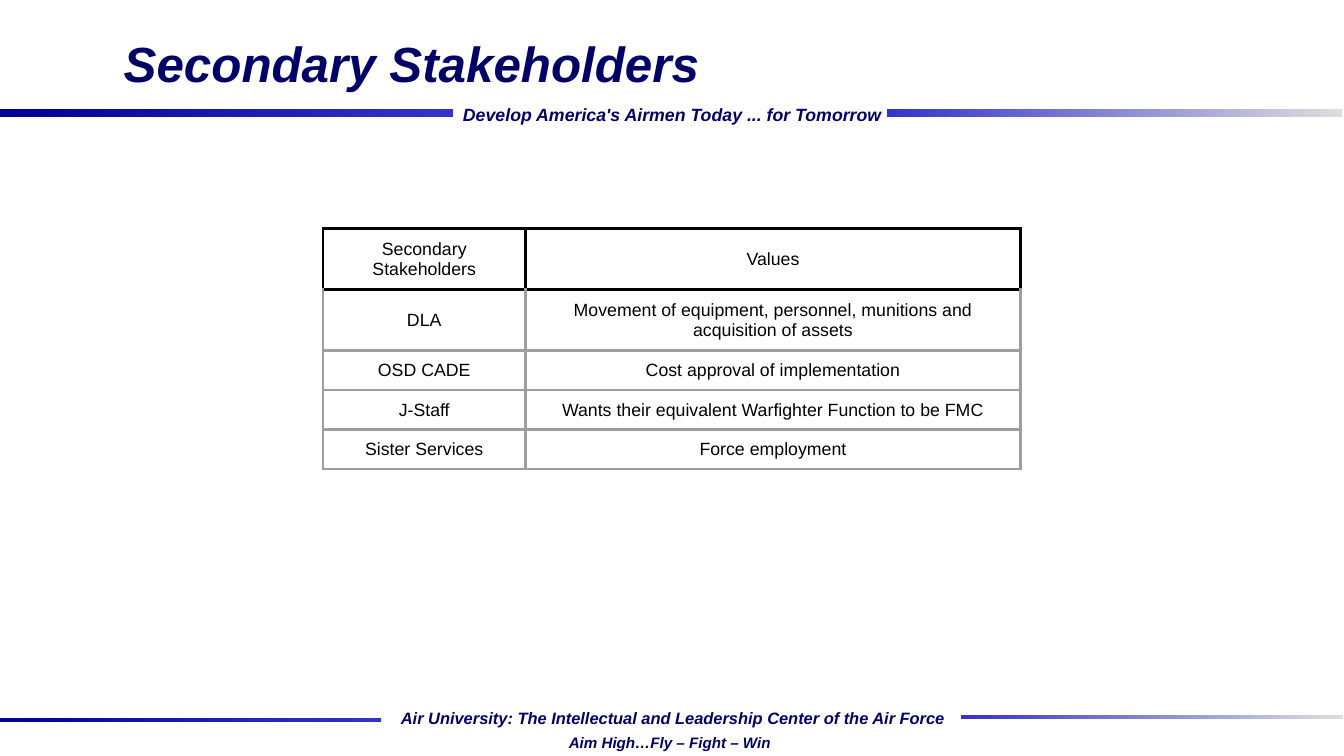
from pptx import Presentation
from pptx.dml.color import RGBColor
from pptx.enum.shapes import MSO_SHAPE
from pptx.enum.text import MSO_ANCHOR, PP_ALIGN
from pptx.oxml.ns import qn
from pptx.util import Inches, Pt
from lxml import etree

RECT = MSO_SHAPE.RECTANGLE
MIDDLE = MSO_ANCHOR.MIDDLE
LEFT, CENTER = PP_ALIGN.LEFT, PP_ALIGN.CENTER

NAVY = RGBColor(0x00, 0x00, 0x66)
DEEP_BLUE = RGBColor(0x00, 0x00, 0x99)
BLUE = RGBColor(0x33, 0x33, 0xCC)
SILVER = RGBColor(0xDD, 0xDD, 0xDD)
GRAY = RGBColor(0x9E, 0x9E, 0x9E)
BLACK = RGBColor(0x00, 0x00, 0x00)

STAKEHOLDERS = [
    ("Secondary Stakeholders", "Values"),
    ("DLA", "Movement of equipment, personnel, munitions and acquisition of assets"),
    ("OSD CADE", "Cost approval of implementation"),
    ("J-Staff", "Wants their equivalent Warfighter Function to be FMC"),
    ("Sister Services", "Force employment"),
]


class Deck:
    """Holds the style and current slide; lengths are percentages of the slide's size."""

    font = "Arial"
    border = Pt(2.25)
    margin = Inches(0.1)

    def __init__(self, width, height):
        self.prs = Presentation()
        self.prs.slide_width, self.prs.slide_height = Inches(width), Inches(height)
        self.s = self.prs.slides.add_slide(self.prs.slide_layouts[6])

    def x(self, share):
        return round(self.prs.slide_width * share / 100)

    def y(self, share):
        return round(self.prs.slide_height * share / 100)

    def box(self, left, top, width, height):
        return self.x(left), self.y(top), self.x(width), self.y(height)

    def style(self, p, size, color, align, bold=False):
        p.alignment = align
        p.font.name, p.font.size = self.font, Pt(size)
        p.font.bold = p.font.italic = bold
        p.font.color.rgb = color

    def bar(self, left, top, width, height, start, end):
        sp = self.s.shapes.add_shape(RECT, *self.box(left, top, width, height))
        sp.shadow.inherit = False
        sp.line.fill.background()
        sp.fill.gradient()
        sp.fill.gradient_angle = 0
        for stop, color in zip(sp.fill.gradient_stops, (start, end)):
            stop.color.rgb = color

    def text(self, left, top, width, height, words, size, align=CENTER):
        tf = self.s.shapes.add_textbox(*self.box(left, top, width, height)).text_frame
        tf.word_wrap = True
        p = tf.paragraphs[0]
        p.text = words
        self.style(p, size, NAVY, align, bold=True)

    def edge(self, cell, side, color):
        tc_pr = cell._tc.get_or_add_tcPr()
        ln = etree.SubElement(tc_pr, qn(f"a:ln{side}"), w=str(self.border))
        fill = etree.SubElement(ln, qn("a:solidFill"))
        etree.SubElement(fill, qn("a:srgbClr"), val=str(color))

    def table(self, left, top, columns, heights, rows, size):
        frame = self.s.shapes.add_table(
            len(rows), len(columns), *self.box(left, top, sum(columns), sum(heights)))
        table = frame.table
        table.first_row = table.horz_banding = False
        for column, width in zip(table.columns, columns):
            column.width = self.x(width)
        for i, (words, height) in enumerate(zip(rows, heights)):
            table.rows[i].height = self.y(height)
            for j, word in enumerate(words):
                self.cell(table.cell(i, j), word, size, i)

    def cell(self, cell, word, size, row):
        for side in "LRTB":
            dark = row == 0 or (row == 1 and side == "T")
            self.edge(cell, side, BLACK if dark else GRAY)
        cell.fill.background()
        cell.vertical_anchor = MIDDLE
        cell.margin_left = cell.margin_right = self.margin
        cell.margin_top = cell.margin_bottom = self.margin
        p = cell.text_frame.paragraphs[0]
        p.text = word
        self.style(p, size, BLACK, CENTER)


def main():
    deck = Deck(14.76, 8.3)
    deck.bar(66, 14.46, 33.88, 1.08, BLUE, SILVER)
    deck.bar(-0.14, 14.46, 33.88, 1.08, DEEP_BLUE, BLUE)
    deck.text(33.67, 13.13, 32.72, 4.1, "Develop America's Airmen Today ... for Tomorrow", 14)
    deck.bar(-0.14, 94.94, 28.46, 0.6, DEEP_BLUE, BLUE)
    deck.bar(71.48, 94.58, 28.46, 0.6, BLUE, SILVER)
    deck.text(28.86, 93.01, 42.34, 3.73,
              "Air University: The Intellectual and Leadership Center of the Air Force", 13)
    deck.text(41.6, 96.4, 16.8, 3.49, "Aim High…Fly – Fight – Win ", 12)
    deck.text(8.54, 3.73, 49.73, 9.16, "Secondary Stakeholders", 39, LEFT)
    deck.table(24.05, 30.24, [15.04, 36.86], [8.07] * 2 + [5.18] * 3, STAKEHOLDERS, 14)
    deck.prs.save("out.pptx")


if __name__ == "__main__":
    main()
